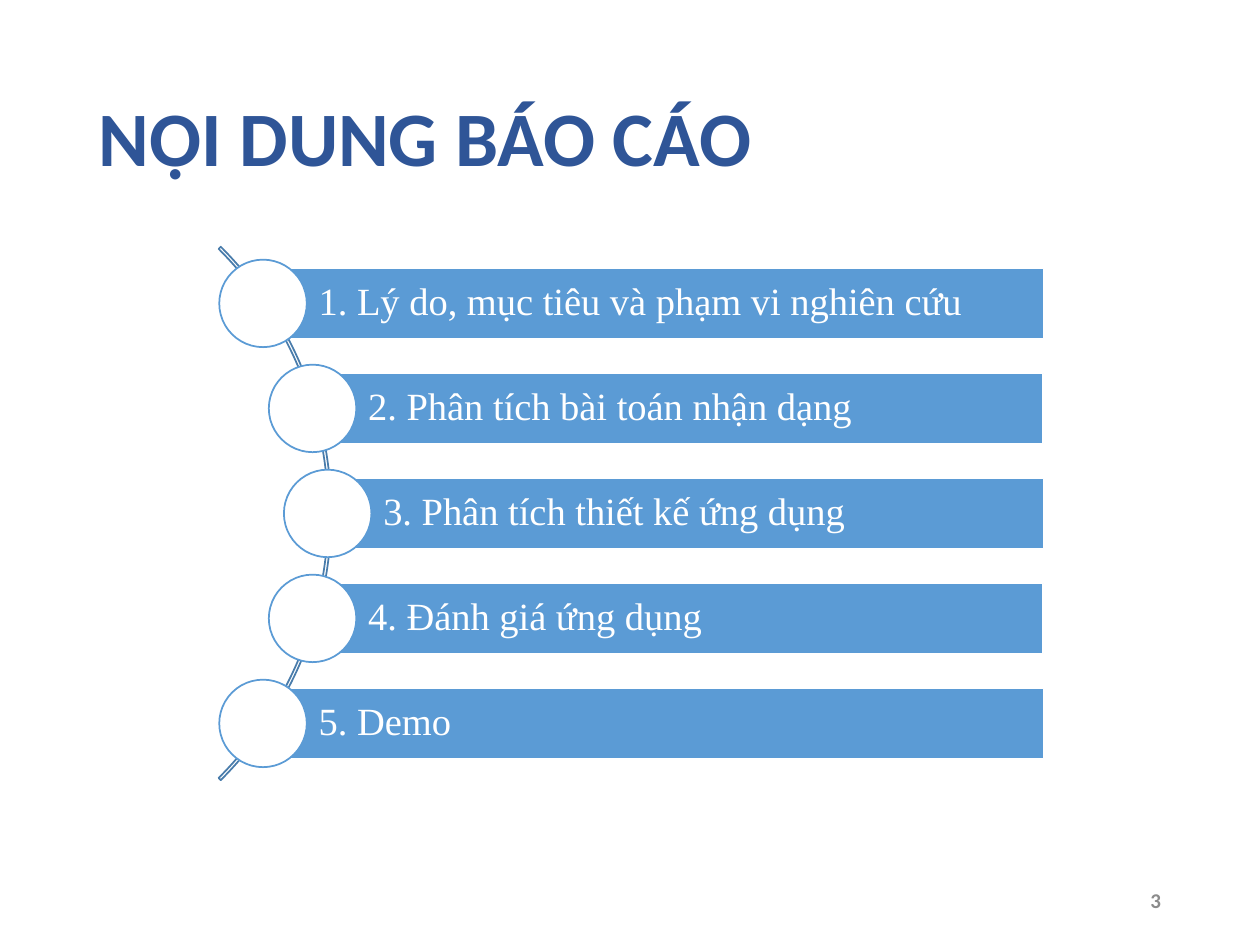
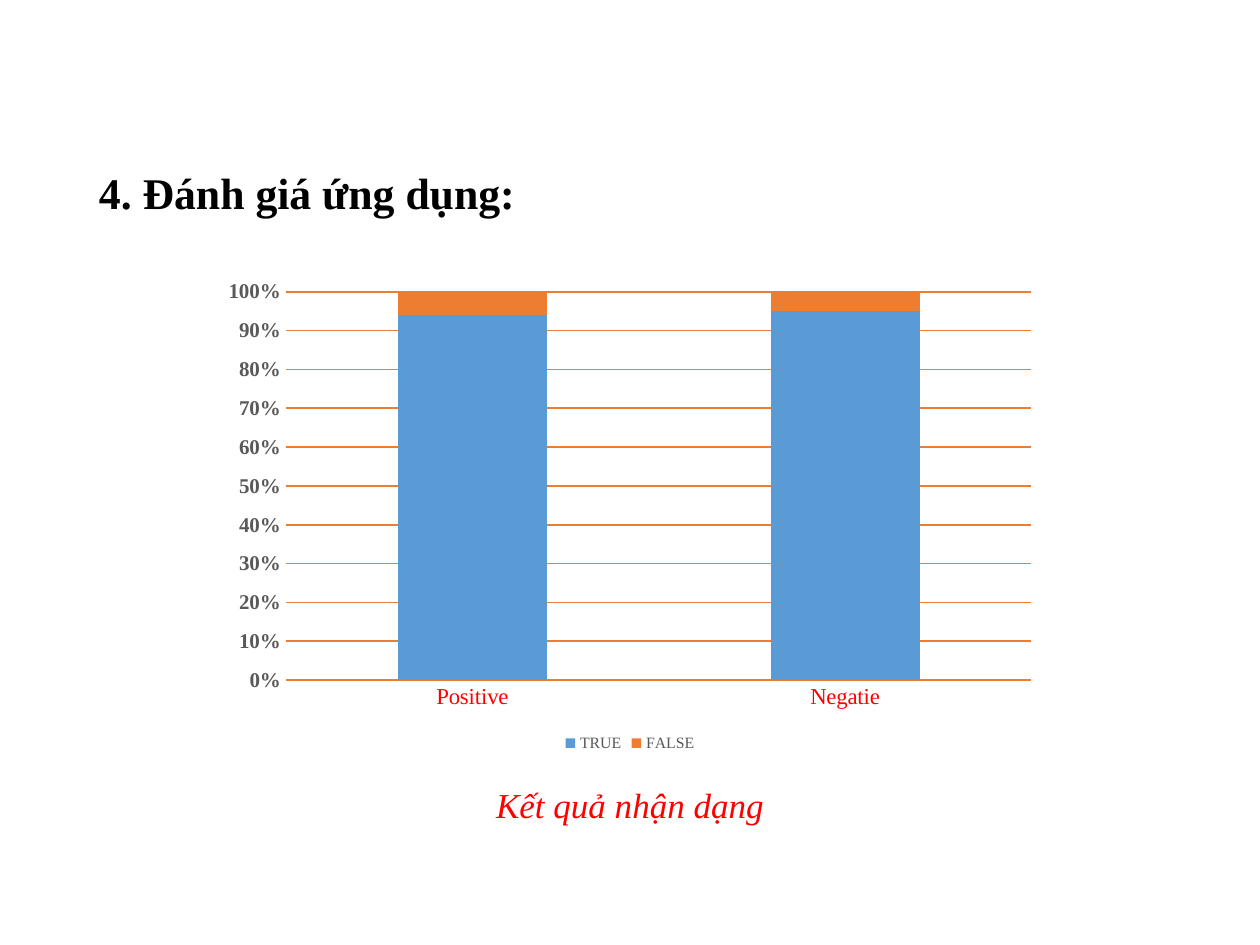
from dataclasses import dataclass
from math import sqrt

from pptx import Presentation
from pptx import util as u
from pptx.chart import data as chart_data
from pptx.dml.color import RGBColor
from pptx.enum import chart as chart_enum, shapes, text


@dataclass(frozen=True)
class Theme:
    # Colours
    navy: str = "2F5597"
    blue: str = "5B9BD5"
    arc_blue: str = "497CAB"
    orange: str = "ED7D31"
    red: str = "FF0000"
    white: str = "FFFFFF"
    black: str = "000000"
    grey: str = "595959"
    pale_grey: str = "8C8C8C"
    # Fonts
    sans: str = "Calibri"
    serif: str = "Times New Roman"
    # Type sizes
    title: float = 44
    heading: float = 25
    agenda: float = 22
    caption: float = 20
    category: float = 13
    small: float = 12
    legend: float = 9
    # Line width
    line: float = 1


THEME = Theme()


@dataclass(frozen=True)
class Box:
    left: float
    top: float
    width: float
    height: float

    @property
    def right(self):
        return self.left + self.width

    @property
    def middle(self):
        return self.top + self.height / 2

    def lengths(self):
        return [u.Pt(round(v, 2)) for v in (self.left, self.top, self.width, self.height)]


def rgb(colour):
    return RGBColor.from_string(colour)


def style_font(font, size, colour, face, bold=False, italic=False):
    font.size, font.name = u.Pt(size), face
    font.color.rgb = rgb(colour)
    font.bold, font.italic = bold, italic


def write(frame, words, size, colour, face, align=text.PP_ALIGN.LEFT,
          spacing=0.9, bold=False, italic=False):
    para = frame.paragraphs[0]
    para.alignment, para.line_spacing = align, spacing
    span = para.add_run()
    span.text = words
    style_font(span.font, size, colour, face, bold, italic)


def add_text(page, box, words, *style, anchor=text.MSO_ANCHOR.MIDDLE, wrap=True, **options):
    frame = page.shapes.add_textbox(*box.lengths()).text_frame
    frame.word_wrap, frame.vertical_anchor = wrap, anchor
    write(frame, words, *style, **options)


def add_shape(page, kind, box, fill, line):
    shape = page.shapes.add_shape(kind, *box.lengths())
    shape.shadow.inherit = False
    if fill:
        shape.fill.solid()
        shape.fill.fore_color.rgb = rgb(fill)
    else:
        shape.fill.background()
    shape.line.color.rgb = rgb(line)
    shape.line.width = u.Pt(THEME.line)
    return shape


def add_title(page, box, words, size, colour, face):
    add_text(page, box, words, size, colour, face, bold=True)


def add_page_number(page, box, number):
    add_text(page, box, number, THEME.small, THEME.pale_grey, THEME.sans,
             align=text.PP_ALIGN.RIGHT, bold=True)


def add_agenda(page, box, topics):
    """Bars whose round markers sit along an arc, evenly spaced in the box."""
    pitch, bar_height, marker = 60, 40, 50
    arc_size, marker_radius = 431, 213.5
    arc_centre = box.left - 151.5

    # Curved spine
    arc_box = Box(arc_centre - arc_size / 2, box.middle - arc_size / 2, arc_size, arc_size)
    arc = add_shape(page, shapes.MSO_SHAPE.BLOCK_ARC, arc_box, None, THEME.arc_blue)
    for index, value in enumerate((189, 27, 0.004)):
        arc.adjustments[index] = value

    for index, topic in enumerate(topics):
        offset = (index - (len(topics) - 1) / 2) * pitch
        x = arc_centre + sqrt(marker_radius ** 2 - offset ** 2)
        y = box.middle + offset

        # Topic bar
        bar_box = Box(x, y - bar_height / 2, box.right - x, bar_height)
        bar = add_shape(page, shapes.MSO_SHAPE.RECTANGLE, bar_box, THEME.blue, THEME.white)
        frame = bar.text_frame
        frame.word_wrap, frame.vertical_anchor = True, text.MSO_ANCHOR.MIDDLE
        frame.margin_left = u.Pt(31.75)
        frame.margin_top = frame.margin_right = frame.margin_bottom = u.Pt(4.4)
        write(frame, topic, THEME.agenda, THEME.white, THEME.serif)

        # Round marker
        add_shape(page, shapes.MSO_SHAPE.OVAL,
                  Box(x - marker / 2, y - marker / 2, marker, marker),
                  THEME.white, THEME.blue)


def add_results_chart(page, box, categories, results):
    """Share of true and false results for each class."""
    data = chart_data.CategoryChartData()
    data.categories = categories
    for name, values, _ in results:
        data.add_series(name, values)
    chart = page.shapes.add_chart(
        chart_enum.XL_CHART_TYPE.COLUMN_STACKED_100, *box.lengths(), data).chart
    chart.has_title = False
    style_font(chart.font, 10, THEME.black, THEME.sans)

    # Columns
    plot = chart.plots[0]
    plot.gap_width, plot.overlap, plot.vary_by_categories = 150, 100, False
    for series, (_, _, colour) in zip(plot.series, results):
        series.format.fill.solid()
        series.format.fill.fore_color.rgb = rgb(colour)

    # Axes
    classes, share = chart.category_axis, chart.value_axis
    for axis in (classes, share):
        axis.major_tick_mark = axis.minor_tick_mark = chart_enum.XL_TICK_MARK.NONE
    style_font(classes.tick_labels.font, THEME.category, THEME.red, THEME.serif)
    style_font(share.tick_labels.font, THEME.small, THEME.grey, THEME.serif, bold=True)
    share.tick_labels.number_format = "0%"
    share.tick_labels.number_format_is_linked = False
    share.has_major_gridlines = True
    share.format.line.fill.background()
    for line in (classes.format.line, share.major_gridlines.format.line):
        line.color.rgb = rgb(THEME.orange)
        line.width = u.Pt(THEME.line)

    # Legend
    chart.has_legend = True
    chart.legend.position = chart_enum.XL_LEGEND_POSITION.BOTTOM
    chart.legend.include_in_layout = False
    style_font(chart.legend.font, THEME.legend, THEME.grey, THEME.serif)


def agenda_slide(page):
    add_title(page, Box(49.5, 29, 621, 104), "NỘI DUNG BÁO CÁO",
              THEME.title, THEME.navy, THEME.sans)
    add_page_number(page, Box(508.5, 500.5, 162, 29), "3")
    add_agenda(page, Box(125.25, 133.4, 471, 320), [
        "1. Lý do, mục tiêu và phạm vi nghiên cứu",
        "2. Phân tích bài toán nhận dạng",
        "3. Phân tích thiết kế ứng dụng",
        "4. Đánh giá ứng dụng",
        "5. Demo",
    ])


def results_slide(page):
    add_title(page, Box(49.5, 93, 621, 37.5), "4. Đánh giá ứng dụng:",
              THEME.heading, THEME.black, THEME.serif)
    add_results_chart(page, Box(121, 154.8, 478, 278), ["Positive", "Negatie"], [
        ("TRUE", (94, 95), THEME.blue),
        ("FALSE", (6, 5), THEME.orange),
    ])
    add_text(page, Box(275.75, 444.25, 168.5, 31.5), "Kết quả nhận dạng",
             THEME.caption, THEME.red, THEME.serif, anchor=text.MSO_ANCHOR.TOP,
             wrap=False, align=text.PP_ALIGN.CENTER, spacing=1.0, italic=True)


def main():
    deck = Presentation()
    deck.slide_width, deck.slide_height = u.Pt(720), u.Pt(540)
    blank = deck.slide_layouts[6]
    for build in (agenda_slide, results_slide):
        build(deck.slides.add_slide(blank))
    deck.save("out.pptx")


if __name__ == "__main__":
    main()
